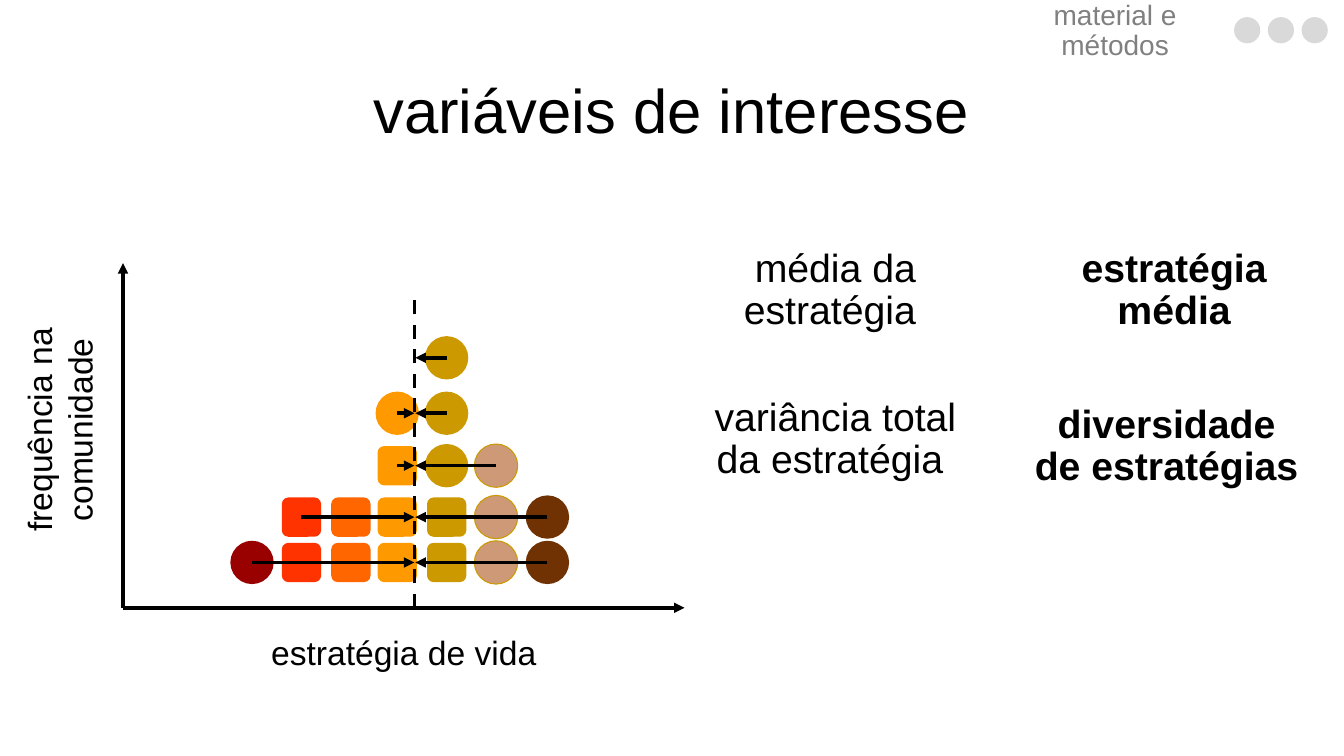
from pptx import Presentation
from pptx.dml.color import RGBColor
from pptx.enum import dml, shapes, text
from pptx.oxml.ns import qn
from pptx.util import Inches, Pt

COLORS = {
    "ink": "000000", "muted": "808080", "dot": "D9D9D9",
    "dark red": "990000", "red": "FF3300", "orange": "FF6600", "amber": "FF9900",
    "ochre": "CC9900", "tan": "CD9976", "brown": "703103",
}
# Colour and distance from the vertical axis of each strategy class
CLASSES = [("dark red", 1.28), ("red", 1.77), ("orange", 2.26), ("amber", 2.72),
           ("ochre", 3.21), ("tan", 3.7), ("brown", 4.21)]
# Height above the horizontal axis, first class, and one shape per class
# (s = square, c = circle)
ROWS = [(0.45, 0, "csssscc"), (0.9, 1, "sssscc"), (1.41, 3, "scc"),
        (1.93, 3, "cc"), (2.48, 4, "c")]
MARKERS = {"s": (shapes.MSO_SHAPE.ROUNDED_RECTANGLE, 0.39),
           "c": (shapes.MSO_SHAPE.OVAL, 0.43)}
MEAN = 2.89


def color(name):
    return RGBColor.from_string(COLORS[name])


def add_text(page, box, words, size, ink="ink", bold=False, spacing=0.9,
             anchor=text.MSO_ANCHOR.MIDDLE, wrap=True, rotation=0):
    label = page.shapes.add_textbox(*map(Inches, box))
    label.rotation = rotation
    frame = label.text_frame
    frame.word_wrap = wrap
    frame.vertical_anchor = anchor
    para = frame.paragraphs[0]
    para.alignment = text.PP_ALIGN.CENTER
    para.line_spacing = spacing
    span = para.add_run()
    span.text = words
    span.font.name = "Arial"
    span.font.size = Pt(size)
    span.font.bold = bold
    span.font.color.rgb = color(ink)


def add_marker(page, kind, center_x, center_y, size, fill, outline=None):
    marker = page.shapes.add_shape(
        kind, Inches(center_x - size / 2), Inches(center_y - size / 2),
        Inches(size), Inches(size))
    marker.shadow.inherit = False
    marker.fill.solid()
    marker.fill.fore_color.rgb = color(fill)
    if outline:
        marker.line.color.rgb = color(outline)
        marker.line.width = Pt(0)
    else:
        marker.line.fill.background()


def add_line(page, start, end, arrow=True, dashed=False):
    line = page.shapes.add_connector(
        shapes.MSO_CONNECTOR.STRAIGHT, *map(Inches, (*start, *end)))
    line.line.color.rgb = color("ink")
    line.line.width = Pt(2.5)
    if dashed:
        line.line.dash_style = dml.MSO_LINE.DASH
    properties = line._element.spPr
    if arrow:
        outline = line.line._get_or_add_ln()
        head = outline.makeelement(qn("a:tailEnd"), {"type": "triangle"})
        outline.append(head)
    properties.append(properties.makeelement(qn("a:effectLst"), {}))


def draw_section_marker(page, box):
    """Section name followed by three progress dots."""
    left, top, width, height = box
    add_text(page, (left, top, 2.42, height), "material e métodos", 20, "muted")
    for index in range(3):
        add_marker(page, shapes.MSO_SHAPE.OVAL, left + width - 0.13 - 0.335 * index,
                   top + 0.22, 0.26, "dot")


def draw_frequency_plot(page, box):
    """Stacked classes, with arrows from the outermost ones to the mean."""
    left, top, width, height = box
    base = top + height
    mean_x = left + MEAN
    add_line(page, (left, base), (left + width, base))
    add_line(page, (left, base), (left, top))
    add_text(page, (left + 1.35, base + 0.19, 2.87, 0.5), "estratégia de vida", 24,
             spacing=1, anchor=text.MSO_ANCHOR.TOP, wrap=False)
    add_text(page, (left - 1.95, top + 1.2, 2.64, 0.91), "frequência na comunidade",
             24, spacing=1, anchor=text.MSO_ANCHOR.TOP, rotation=270)

    for rise, first, kinds in ROWS:
        for (fill, offset), kind in zip(CLASSES[first:], kinds):
            preset, size = MARKERS[kind]
            add_marker(page, preset, left + offset, base - rise, size, fill,
                       outline="ochre" if fill == "tan" else None)

    add_line(page, (mean_x, base), (mean_x, top + 0.35), arrow=False, dashed=True)
    for rise, first, kinds in ROWS:
        y = base - rise
        lowest = CLASSES[first][1]
        highest = CLASSES[first + len(kinds) - 1][1]
        if lowest < MEAN:
            add_line(page, (left + lowest, y), (mean_x, y))
        if highest > MEAN:
            add_line(page, (left + highest, y), (mean_x + 0.01, y))


def draw_variables(page, box):
    """Each measure with the name of the variable it stands for."""
    left, top, width, height = box
    add_text(page, (left, top, 2.77, 1.45), "média da estratégia ", 28)
    add_text(page, (left + width - 2.77, top, 2.77, 1.45), "estratégia média", 28,
             bold=True)
    lower = top + height - 1.45
    add_text(page, (left, lower - 0.07, 2.77, 1.45), "variância total da estratégia ", 28)
    add_text(page, (left + width - 2.91, lower, 2.9, 1.45), "diversidade de estratégias",
             28, bold=True)


def main():
    deck = Presentation()
    deck.slide_width, deck.slide_height = Inches(13.33), Inches(7.5)
    page = deck.slides.add_slide(deck.slide_layouts[6])
    add_text(page, (0.56, 0.4, 12.2, 1.45), "variáveis de interesse", 44)
    draw_section_marker(page, (9.85, 0.08, 3.32, 0.47))
    draw_frequency_plot(page, (1.22, 2.61, 5.57, 3.42))
    draw_variables(page, (6.9, 2.16, 6.13, 3))
    deck.save("out.pptx")


if __name__ == "__main__":
    main()
